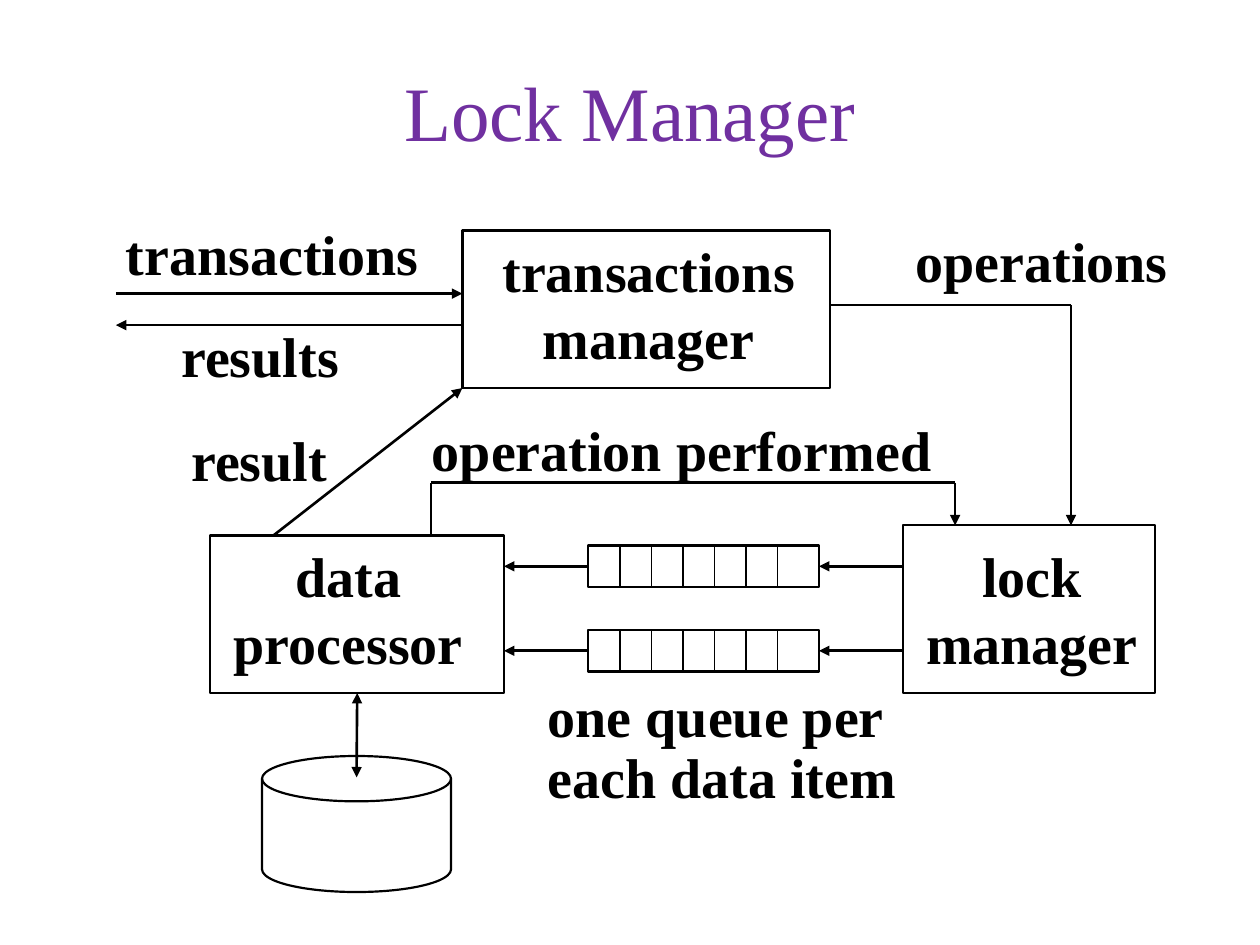
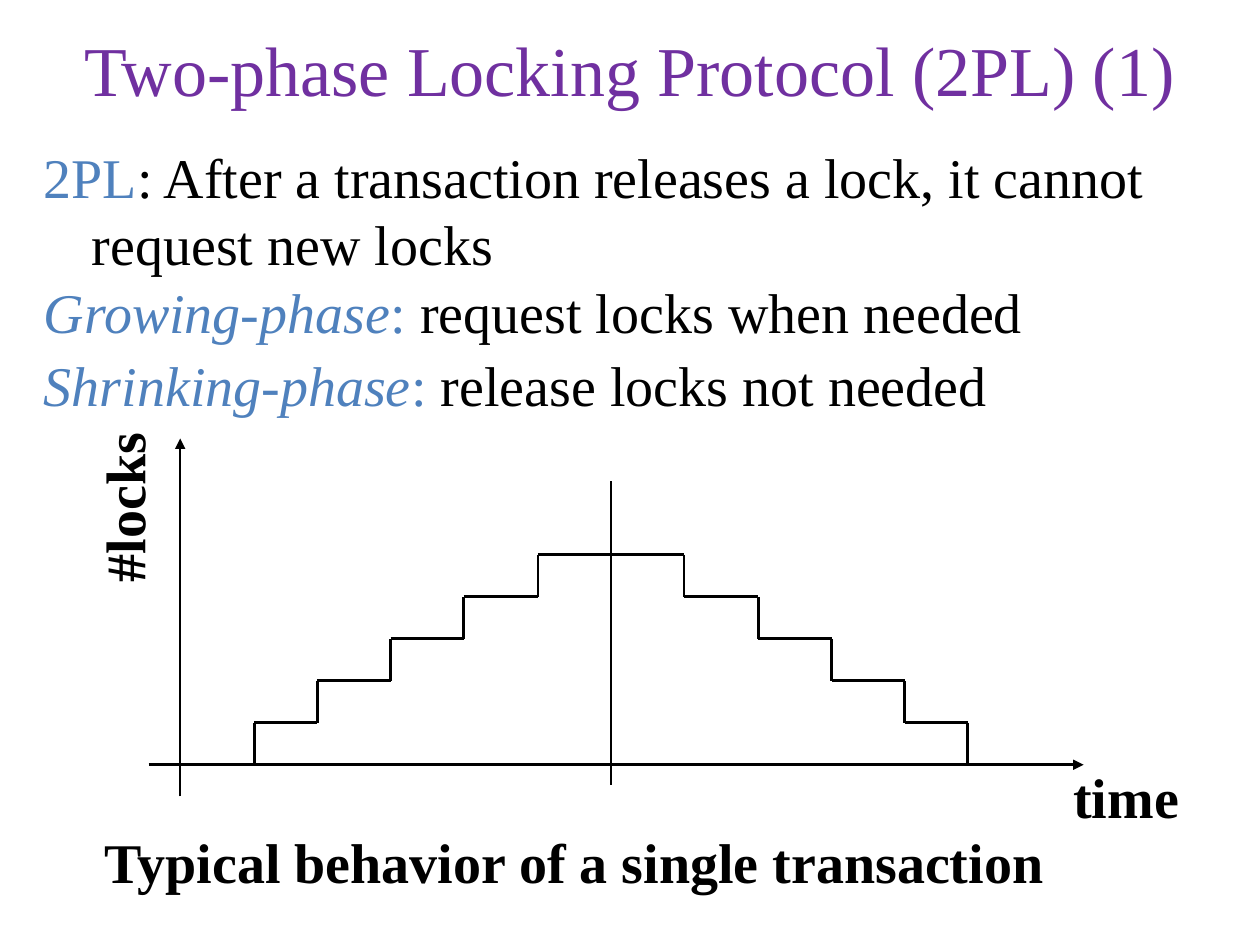
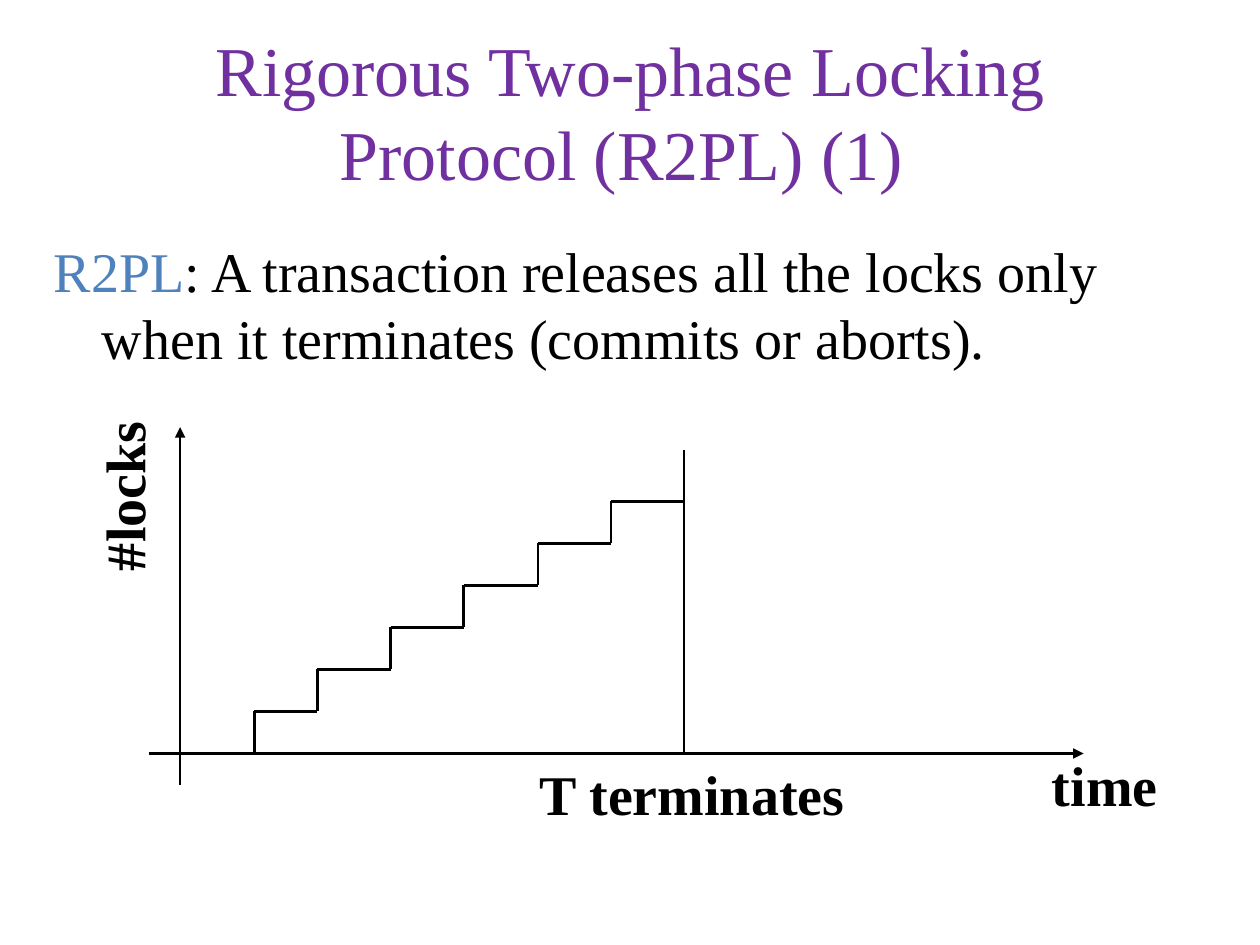
from dataclasses import dataclass

from lxml.etree import SubElement
from pptx import Presentation
from pptx.dml.color import RGBColor
from pptx.enum.shapes import MSO_CONNECTOR, MSO_SHAPE
from pptx.enum.text import MSO_ANCHOR, MSO_AUTO_SIZE, PP_ALIGN
from pptx.oxml.ns import qn
from pptx.util import Inches, Pt


@dataclass(frozen=True)
class Theme:
    font: str = "Times New Roman"
    ink: str = "000000"
    head: str = "7030A0"
    term: str = "4F81BD"
    big: int = 44
    wide: int = 40
    text: int = 32
    thin: float = 0.75
    edge: float = 1.25
    bold: float = 1.5


TOP, LEFT, BOTTOM, RIGHT = range(4)


def write(frame, lines, font, size, color, bold=False, align=PP_ALIGN.LEFT,
          space=None, before=None, hang=0):
    for i, line in enumerate(lines):
        para = frame.paragraphs[0] if i == 0 else frame.add_paragraph()
        para.alignment = align
        if before is not None:
            para.space_before = Pt(before)
        if space and space[i]:
            para.line_spacing = space[i]
        if hang:
            props = para._p.get_or_add_pPr()
            props.set("marL", str(Inches(hang)))
            props.set("indent", str(-Inches(hang)))
        for text, look in [(line, {})] if isinstance(line, str) else line:
            run = para.add_run()
            run.text = text
            run.font.name = font
            run.font.size = Pt(size)
            run.font.bold = bold
            run.font.italic = look.get("italic", False)
            run.font.color.rgb = RGBColor.from_string(look.get("color", color))


class Deck:
    def __init__(self, theme):
        self.theme = theme
        self.file = Presentation()
        self.file.slide_width = Inches(10)
        self.file.slide_height = Inches(7.5)

    def start(self):
        self.slide = self.file.slides.add_slide(self.file.slide_layouts[6])
        self.shapes = self.slide.shapes

    def frame(self, x, y, w, h):
        return self.shapes.add_textbox(*map(Inches, (x, y, w, h)))

    def title(self, text, x, y, w, h, size):
        frame = self.frame(x, y, w, h).text_frame
        frame.word_wrap = True
        frame.vertical_anchor = MSO_ANCHOR.MIDDLE
        write(frame, [text], self.theme.font, size, self.theme.head,
              align=PP_ALIGN.CENTER)

    def body(self, lines, x, y, w, h, space=None):
        frame = self.frame(x, y, w, h).text_frame
        frame.word_wrap = True
        write(frame, lines, self.theme.font, self.theme.text, self.theme.ink,
              space=space, before=8, hang=0.38)

    def label(self, lines, x, y, w, h=0.64, turn=0, **look):
        shape = self.frame(x, y, w, h)
        shape.rotation = turn
        frame = shape.text_frame
        frame.word_wrap = False
        frame.auto_size = MSO_AUTO_SIZE.SHAPE_TO_FIT_TEXT
        write(frame, lines, self.theme.font, self.theme.text, self.theme.ink,
              bold=True, **look)

    def box(self, x, y, w, h, kind=MSO_SHAPE.RECTANGLE):
        shape = self.shapes.add_shape(kind, *map(Inches, (x, y, w, h)))
        shape.shadow.inherit = False
        shape.fill.background()
        shape.line.color.rgb = RGBColor.from_string(self.theme.ink)
        shape.line.width = Pt(self.theme.edge)
        return shape

    def line(self, x1, y1, x2, y2, width=None, head=False, tail=False,
             begin=None, end=None):
        link = self.shapes.add_connector(
            MSO_CONNECTOR.STRAIGHT, *map(Inches, (x1, y1, x2, y2)))
        link.line.color.rgb = RGBColor.from_string(self.theme.ink)
        link.line.width = Pt(width or self.theme.bold)
        if begin:
            link.begin_connect(*begin)
        if end:
            link.end_connect(*end)
        props = link._element.spPr
        for name, shown in (("a:headEnd", head), ("a:tailEnd", tail)):
            if shown:
                SubElement(props.find(qn("a:ln")), qn(name), type="triangle")
        SubElement(props, qn("a:effectLst"))

    def queue(self, y):
        x, w, h = 4.67, 1.83, 0.33
        row = self.box(x, y, w, h)
        for i in range(1, 7):
            cut = x + i * 0.25
            self.line(cut, y, cut, y + h, self.theme.thin)
        mid = y + h / 2
        self.line(7.17, mid, x + w, mid, tail=True, end=(row, RIGHT))
        self.line(x, mid, 4, mid, tail=True, begin=(row, LEFT))

    def axes(self, base, time):
        self.line(1.18, base, 8.6, base, tail=True)
        self.line(1.43, base + 0.25, 1.43, base - 2.59, tail=True)
        self.label(["time"], time, base - 0.07, 1.1)
        self.label(["#locks"], 0.26, base - 2.39, 1.44, turn=270)

    def stairs(self, base, edges, levels):
        last = base
        for i, (x, level) in enumerate(zip(edges, levels)):
            y = base - level / 3
            if y != last:
                self.line(x, last, x, y)
            if i + 1 < len(edges):
                self.line(x, y, edges[i + 1], y)
            last = y


def lock_flow(deck):
    deck.start()
    deck.title("Lock Manager", 0.75, 0.42, 8.5, 0.92, deck.theme.big)
    center = PP_ALIGN.CENTER
    deck.label(["transactions"], 0.9, 1.69, 2.6)
    deck.label(["results"], 1.34, 2.5, 1.52)
    deck.line(0.92, 2.33, 3.67, 2.33, tail=True)
    deck.line(3.67, 2.58, 0.92, 2.58, tail=True)

    deck.label(["transactions", "manager"], 3.85, 1.83, 2.6, 1.17, align=center)
    deck.box(3.67, 1.83, 2.92, 1.25)
    deck.line(6.58, 2.42, 8.5, 2.42, deck.theme.thin)
    deck.line(8.5, 2.42, 8.5, 4.17, tail=True)
    deck.label(["operations"], 7.17, 1.75, 2.26)

    deck.label(["lock", "manager"], 7.22, 4.25, 1.94, 1.17, align=center)
    deck.box(7.17, 4.17, 2, 1.33)
    for y in (4.33, 5):
        deck.queue(y)
    deck.label(["one queue per", "each data item"], 4.25, 5.42, 3.03, 1.06,
               space=[0.9, 0.9])

    deck.label(["data", "processor"], 1.72, 4.25, 2.09, 1.17, align=center)
    data = deck.box(1.67, 4.25, 2.33, 1.25)
    deck.box(2.08, 6, 1.5, 1.08, MSO_SHAPE.FLOWCHART_MAGNETIC_DISK)
    deck.line(2.83, 5.5, 2.83, 6.17, head=True, tail=True, begin=(data, BOTTOM))
    deck.line(2.17, 4.25, 3.67, 3.08, tail=True)
    deck.label(["result"], 1.42, 3.33, 1.35)
    deck.line(3.42, 4.25, 3.42, 3.83)
    deck.line(3.42, 3.83, 7.58, 3.83)
    deck.line(7.58, 3.83, 7.58, 4.17, tail=True)
    deck.label(["operation performed"], 3.33, 3.25, 4.24)


RISE = [2.02, 2.52, 3.1, 3.68, 4.27, 4.85, 5.43]


def two_phase(deck):
    deck.start()
    deck.title("Two-phase Locking Protocol (2PL) (1)", 0.33, 0.17, 9.33, 0.75,
               deck.theme.wide)
    term = {"color": deck.theme.term}
    slant = {**term, "italic": True}
    deck.body([
        [("2PL", term),
         (": After a transaction releases a lock, it cannot request new locks", {})],
        [("Growing-phase", slant), (":", term), (" request locks when needed", {})],
        [("Shrinking-phase", slant), (":", term), (" release locks not needed", {})],
    ], 0.25, 1.08, 9.5, 6.08, space=[None, 0.8, 0.9])
    base = 6.07
    deck.axes(base, 8.42)
    deck.line(4.85, 6.23, 4.85, 3.82)
    deck.stairs(base, RISE + [6.02, 6.6, 7.18, 7.68],
                [1, 2, 3, 4, 5, 5, 4, 3, 2, 1, 0])
    deck.label(["Typical behavior of a single transaction"], 0.73, 6.52, 7.78)


def rigorous(deck):
    deck.start()
    deck.title("Rigorous Two-phase Locking Protocol (R2PL) (1) ",
               0.75, 0.17, 8.5, 1.42, deck.theme.wide)
    deck.body([
        [("R2PL", {"color": deck.theme.term}),
         (": A transaction releases all the locks only when it terminates"
          " (commits or aborts).", {})],
    ], 0.33, 1.83, 9.33, 5.08)
    base = 5.98
    deck.axes(base, 8.25)
    deck.line(5.43, base, 5.43, 3.57)
    deck.line(5.43, 4.32, 5.43, 4.65)
    deck.stairs(base, RISE, range(1, 7))
    deck.label(["T terminates"], 4.18, base, 2.69)


def main():
    deck = Deck(Theme())
    lock_flow(deck)
    two_phase(deck)
    rigorous(deck)
    deck.file.save("out.pptx")


if __name__ == "__main__":
    main()
